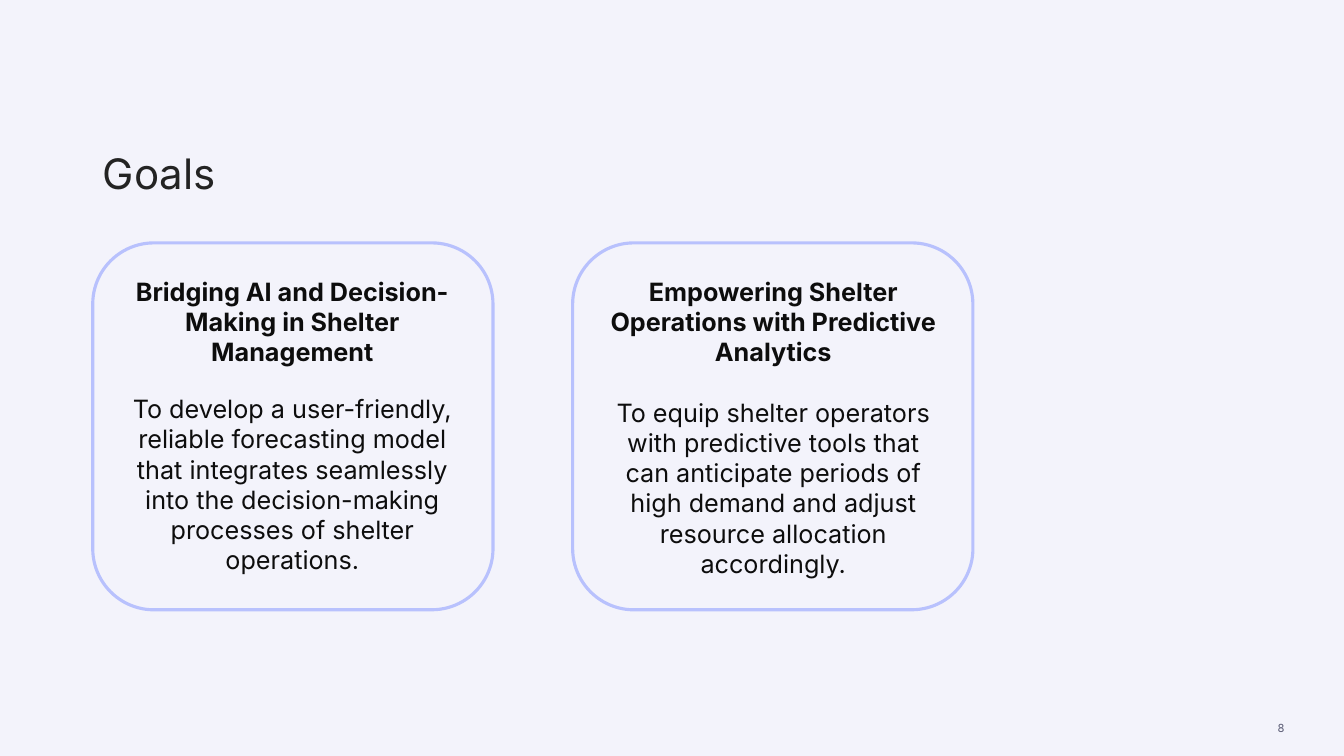
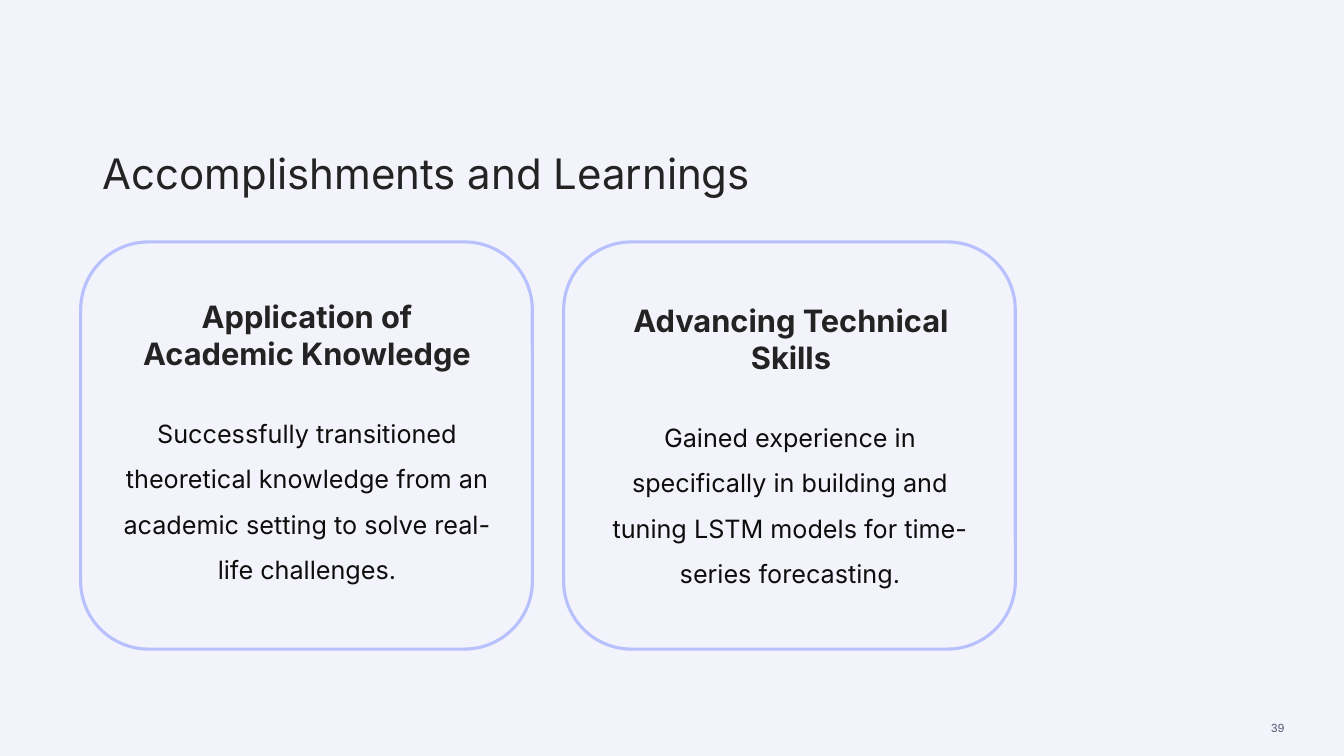
from dataclasses import dataclass

from lxml import etree
from pptx import Presentation
from pptx.dml.color import RGBColor
from pptx.enum.shapes import MSO_SHAPE
from pptx.enum.text import MSO_ANCHOR, MSO_AUTO_SIZE, PP_ALIGN
from pptx.oxml.ns import qn
from pptx.util import Inches, Pt

ROUND = MSO_SHAPE.ROUNDED_RECTANGLE
TOP, MIDDLE, BOTTOM = MSO_ANCHOR.TOP, MSO_ANCHOR.MIDDLE, MSO_ANCHOR.BOTTOM
LEFT, CENTER, RIGHT = PP_ALIGN.LEFT, PP_ALIGN.CENTER, PP_ALIGN.RIGHT
NO_FIT = MSO_AUTO_SIZE.NONE

# Shared style
FONT = "Inter"
PAPER, BORDER = "F3F3FB", "B8C1FD"
DARK, INK, GREY = "232323", "0D0D0D", "5C5D76"
TITLE_AT = (0.92, 0.95, 9.4, 1.06)
PAGE_AT = (10.52, 6.94, 2.32, 0.56)
TITLE_ONLY, TITLE_BODY = 5, 1

Area = tuple[float, float, float, float]


@dataclass
class Para:
    text: str
    size: float = 18
    color: str = INK
    bold: bool = False
    before: float = 0
    lines: float = 1


@dataclass
class Block:
    at: Area
    paras: list[Para]
    anchor: MSO_ANCHOR = TOP
    body: bool = False


@dataclass
class Page:
    title: str
    number: str
    layout: int
    card: Area
    pitch: float
    blocks: list[Block]


def head(text: str) -> Para:
    return Para(text, size=22, color=DARK, bold=True)


def detail(text: str) -> Para:
    return Para(text, lines=1.5)


PAGES = [
    Page("Goals", "8", TITLE_ONLY, (0.92, 2.41, 3.97, 3.64), 4.76, [
        Block((1.03, 2.69, 3.74, 3.1), [
            Para("Bridging AI and Decision-Making in Shelter Management",
                 bold=True),
            Para("To develop a user-friendly, reliable forecasting model that "
                 "integrates seamlessly into the decision-making processes of "
                 "shelter operations.", before=19),
        ]),
        Block((5.91, 2.69, 3.52, 3.13), [
            Para("Empowering Shelter Operations with Predictive Analytics",
                 bold=True),
            Para("To equip shelter operators with predictive tools that can "
                 "anticipate periods of high demand and adjust resource "
                 "allocation accordingly.", before=21.5),
        ]),
    ]),
    Page("Accomplishments and Learnings", "39", TITLE_BODY,
         (0.8, 2.4, 4.48, 4.04), 4.79, [
        Block((1.12, 2.71, 3.85, 1.23),
              [head("Application of Academic Knowledge")], MIDDLE, body=True),
        Block((1.12, 3.95, 3.85, 1.93), [
            detail("Successfully transitioned theoretical knowledge from an "
                   "academic setting to solve real-life challenges."),
        ]),
        Block((5.92, 2.75, 3.85, 1.23),
              [head("Advancing Technical Skills")], MIDDLE),
        Block((5.91, 3.99, 3.85, 1.93), [
            detail("Gained experience in specifically in building and tuning "
                   "LSTM models for time-series forecasting."),
        ]),
    ]),
]


def rgb(code: str) -> RGBColor:
    return RGBColor.from_string(code)


def place(shape, at: Area) -> None:
    shape.left, shape.top, shape.width, shape.height = map(Inches, at)


def write(shape, paras: list[Para], *, anchor: MSO_ANCHOR = TOP,
          align: PP_ALIGN = CENTER) -> None:
    """Fill a shape with formatted paragraphs without bullets."""
    frame = shape.text_frame
    frame.word_wrap = True
    frame.auto_size = NO_FIT
    frame.vertical_anchor = anchor
    for i, item in enumerate(paras):
        para = frame.add_paragraph() if i else frame.paragraphs[0]
        props = para._p.get_or_add_pPr()
        props.set("marL", "0")
        props.set("indent", "0")
        etree.SubElement(props, qn("a:buNone"))
        para.alignment = align
        para.space_before = Pt(item.before)
        para.line_spacing = item.lines
        run = para.add_run()
        run.text = item.text
        font = run.font
        font.name, font.size, font.bold = FONT, Pt(item.size), item.bold
        font.color.rgb = rgb(item.color)


def add_card(slide, at: Area) -> None:
    card = slide.shapes.add_shape(ROUND, *map(Inches, at))
    card.shadow.inherit = False
    card.fill.background()
    card.line.color.rgb = rgb(BORDER)
    card.line.width = Pt(2.25)


def add_text(slide, block: Block, align: PP_ALIGN = CENTER) -> None:
    if block.body:
        box = slide.placeholders[1]
        place(box, block.at)
    else:
        box = slide.shapes.add_textbox(*map(Inches, block.at))
    write(box, block.paras, anchor=block.anchor, align=align)


def add_page(prs, page: Page) -> None:
    slide = prs.slides.add_slide(prs.slide_layouts[page.layout])
    # Title
    title = slide.shapes.title
    place(title, TITLE_AT)
    write(title, [Para(page.title, size=30, color=DARK)],
          anchor=BOTTOM, align=LEFT)
    # Pair of cards
    left, top, width, height = page.card
    for i in range(2):
        add_card(slide, (left + i * page.pitch, top, width, height))
    # Card texts
    for block in page.blocks:
        add_text(slide, block)
    # Page number
    number = Para(page.number, size=8, color=GREY)
    add_text(slide, Block(PAGE_AT, [number], MIDDLE), RIGHT)


def main() -> None:
    prs = Presentation()
    prs.slide_width, prs.slide_height = Inches(13.33), Inches(7.5)
    paper = prs.slide_master.background.fill
    paper.solid()
    paper.fore_color.rgb = rgb(PAPER)
    for page in PAGES:
        add_page(prs, page)
    prs.save("out.pptx")


if __name__ == "__main__":
    main()
